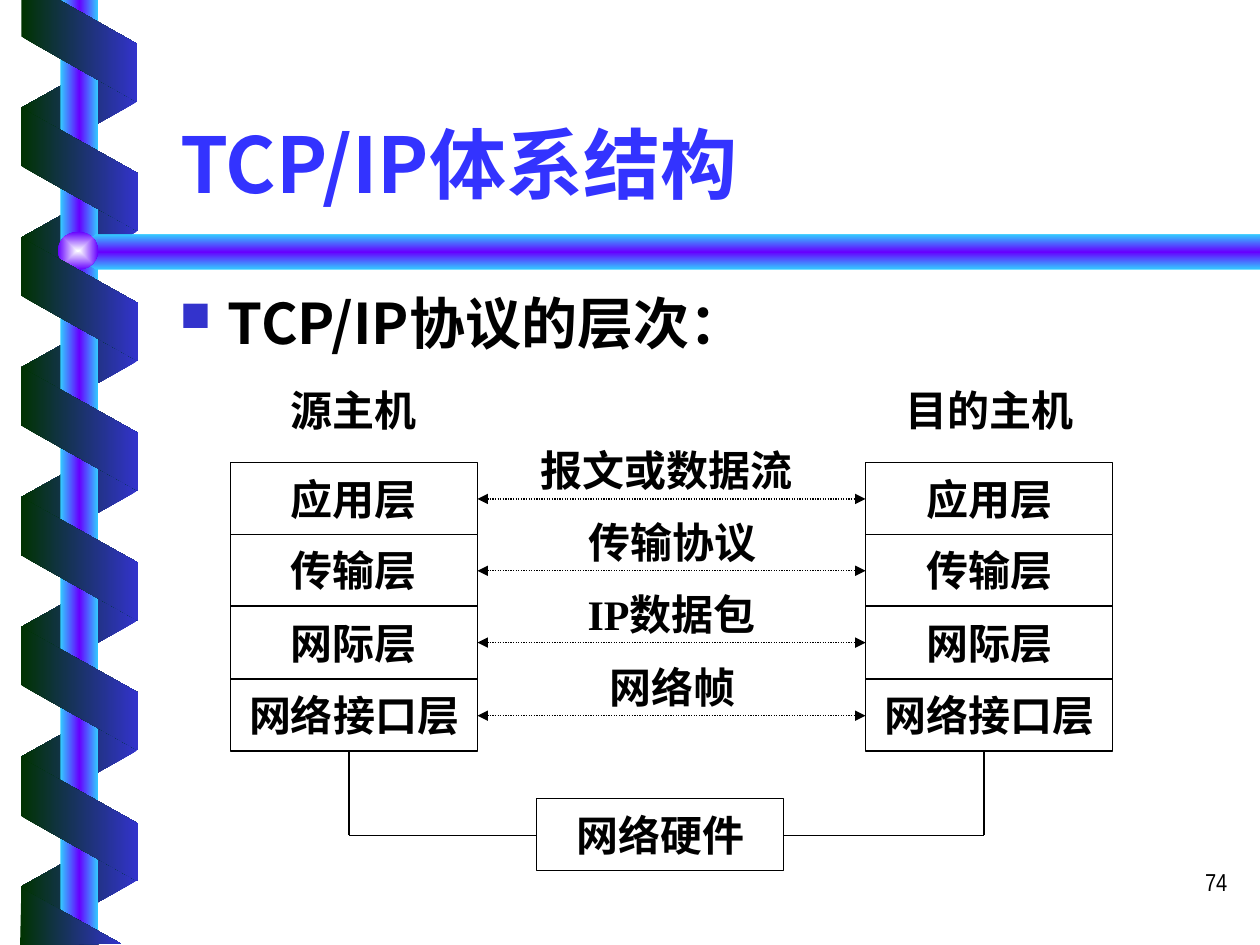
from dataclasses import dataclass

from lxml.etree import SubElement
from pptx import Presentation
from pptx.dml.color import RGBColor
from pptx.enum.dml import MSO_LINE
from pptx.enum.shapes import MSO_CONNECTOR, MSO_SHAPE
from pptx.enum.text import MSO_ANCHOR, PP_ALIGN
from pptx.oxml import parse_xml
from pptx.oxml.ns import nsdecls, qn
from pptx.util import Pt

PX = 9144


@dataclass(frozen=True)
class Theme:
    """Colours, fonts and type sizes of the slide."""
    ink: str = "000000"
    paper: str = "FFFFFF"
    title: str = "3333FF"
    bullet: str = "3333CC"
    ribbon: tuple = ((0, "003300"), (100, "3333CC"))
    ribbon_back: tuple = ((0, "3333CC"), (100, "003300"))
    pole: tuple = ((0, "33CCFF"), (50, "6600FF"), (100, "33CCFF"))
    ball: tuple = ((0, "FEFFFF"), (100, "6600FF"))
    sans: str = "Noto Sans CJK SC"
    serif: str = "Times New Roman"
    narrow: str = "Arial Narrow"
    title_size: int = 44
    body_size: int = 32
    label_size: int = 24
    number_size: int = 14
    line: float = 0.75


THEME = Theme()
LAYERS = ("应用层", "传输层", "网际层", "网络接口层")
MESSAGES = (("报文或数据流", 398, 262), ("传输协议", 426, 215),
            ("IP数据包", 407, 252), ("网络帧", 398, 271))
HOSTS = (("源主机", 183, 211, 140), ("目的主机", 687, 687, 196))
BOX_WIDTH = 196
STACK_TOP = 367


def emu(*lengths):
    """Turn px lengths into EMU."""
    return [length * PX for length in lengths]


def row_offset(row):
    """Give the distance of a layer row from the top of its stack."""
    return row * 172 // 3


def style_text(frame, text, size, font, color=THEME.ink, bold=True, align=PP_ALIGN.LEFT):
    """Write one formatted paragraph into a text frame."""
    paragraph = frame.paragraphs[0]
    paragraph.text = text
    paragraph.alignment = align
    paragraph.font.size = Pt(size)
    paragraph.font.bold = bold
    paragraph.font.color.rgb = RGBColor.from_string(color)
    paragraph.font.name = font
    defaults = paragraph._p.pPr.find(qn("a:defRPr"))
    SubElement(defaults, qn("a:ea")).set("typeface", THEME.sans)


def add_gradient(shape, stops, direction='<a:lin ang="0" scaled="0"/>'):
    """Fill an unlined shape with a gradient that stays upright."""
    shape.shadow.inherit = False
    shape.line.fill.background()
    shape.fill.background()
    marks = "".join(f'<a:gs pos="{place * 1000}"><a:srgbClr val="{color}"/></a:gs>'
                    for place, color in stops)
    gradient = parse_xml(f'<a:gradFill {nsdecls("a")} rotWithShape="0">'
                         f'<a:gsLst>{marks}</a:gsLst>{direction}</a:gradFill>')
    properties = shape._element.spPr
    properties.replace(properties.find(qn("a:noFill")), gradient)


def add_ribbon(slide, top, height, stops, rotation, flipped=False):
    """Add one slanted turn of the spiral ribbon."""
    turn = slide.shapes.add_shape(MSO_SHAPE.PARALLELOGRAM, *emu(14, top, 98, height))
    turn.adjustments[0] = 0.56
    turn.rotation = rotation
    if flipped:
        turn._element.spPr.find(qn("a:xfrm")).set("flipH", "1")
    add_gradient(turn, stops)


def add_outline(slide, points, stops, **direction):
    """Add a closed gradient outline through px points."""
    builder = slide.shapes.build_freeform(*points[0], scale=PX)
    builder.add_line_segments(points[1:], close=True)
    add_gradient(builder.convert_to_shape(), stops, **direction)


def add_decoration(slide):
    """Draw the spiral, its pole and the bar under the title."""
    for turn in range(7):
        add_ribbon(slide, 37 + 103 * turn, 92, THEME.ribbon_back, 90, True)
    pole = slide.shapes.add_shape(MSO_SHAPE.RECTANGLE, *emu(48, 0, 30, 750))
    add_gradient(pole, THEME.pole)
    add_outline(slide, [(1000, 186), (76, 186), (60, 200), (76, 214), (1000, 214)],
                THEME.pole, direction='<a:lin ang="5400000" scaled="0"/>')
    ball = slide.shapes.add_shape(MSO_SHAPE.OVAL, *emu(46, 184, 32, 30))
    add_gradient(ball, THEME.ball, '<a:path path="rect"><a:fillToRect l="50000" '
                 't="50000" r="50000" b="50000"/></a:path>')
    for turn in range(6):
        add_ribbon(slide, 88 + 103.2 * turn // 1, 93, THEME.ribbon, 270)
    add_outline(slide, [(17, 0), (17, 29), (109, 81), (109, 35), (47, 0)], THEME.ribbon)
    add_outline(slide, [(96, 749), (17, 705), (16, 750)], THEME.ribbon)


def add_title(slide, text):
    """Place and format the title placeholder."""
    title = slide.shapes.title
    title.left, title.top, title.width, title.height = emu(133, 46, 850, 125)
    title.text_frame.vertical_anchor = MSO_ANCHOR.BOTTOM
    style_text(title.text_frame, text, THEME.title_size, THEME.sans, THEME.title)


def add_label(slide, text, area, **style):
    """Add a wrapping text box."""
    label = slide.shapes.add_textbox(*emu(*area))
    label.text_frame.word_wrap = True
    style_text(label.text_frame, text, **style)


def add_bullet(slide, text, area):
    """Add a text box with one square-bulleted paragraph."""
    body = slide.shapes.add_textbox(*emu(*area))
    body.text_frame.word_wrap = True
    properties = body.text_frame.paragraphs[0]._p.get_or_add_pPr()
    properties.set("marL", str(38 * PX))
    properties.set("indent", str(-38 * PX))
    color = SubElement(properties, qn("a:buClr"))
    SubElement(color, qn("a:srgbClr")).set("val", THEME.bullet)
    SubElement(properties, qn("a:buSzPct")).set("val", "75000")
    SubElement(properties, qn("a:buChar")).set("char", "■")
    style_text(body.text_frame, text, THEME.body_size, THEME.sans)


def add_box(slide, text, left, top, height=57):
    """Add an outlined box with a centred label."""
    box = slide.shapes.add_shape(MSO_SHAPE.RECTANGLE, *emu(left, top, BOX_WIDTH, height))
    box.shadow.inherit = False
    box.fill.solid()
    box.fill.fore_color.rgb = RGBColor.from_string(THEME.paper)
    box.line.color.rgb = RGBColor.from_string(THEME.ink)
    box.line.width = Pt(THEME.line)
    frame = box.text_frame
    frame.word_wrap = False
    frame.vertical_anchor = MSO_ANCHOR.MIDDLE
    frame.margin_left = frame.margin_right = 2 * PX
    frame.margin_top = frame.margin_bottom = PX
    style_text(frame, text, THEME.label_size, THEME.serif, align=PP_ALIGN.CENTER)


def add_line(slide, start, end, exchange=False):
    """Add a plain link, or a dotted two-way arrow for an exchange."""
    link = slide.shapes.add_connector(MSO_CONNECTOR.STRAIGHT, *emu(*start, *end))
    link.line.color.rgb = RGBColor.from_string(THEME.ink)
    link.line.width = Pt(THEME.line)
    if exchange:
        link.line.dash_style = MSO_LINE.ROUND_DOT
        for tip in ("a:headEnd", "a:tailEnd"):
            SubElement(link.line._get_or_add_ln(), qn(tip)).set("type", "triangle")
    SubElement(link._element.spPr, qn("a:effectLst"))


def add_protocol_stacks(slide):
    """Draw both hosts, their exchanges and the shared hardware."""
    label_style = dict(size=THEME.label_size, font=THEME.serif, align=PP_ALIGN.CENTER)
    for host, left, label_left, label_width in HOSTS:
        add_label(slide, host, (label_left, 300, label_width, 50), **label_style)
        for row, layer in enumerate(LAYERS):
            height = row_offset(row + 1) - row_offset(row)
            add_box(slide, layer, left, STACK_TOP + row_offset(row), height)
        add_line(slide, (left + 94, 596), (left + 94, 663))
    for row, (message, left, width) in enumerate(MESSAGES):
        level = 396 + row_offset(row)
        add_line(slide, (379, level), (687, level), exchange=True)
        add_label(slide, message, (left, level - 48, width, 50), **label_style)
    add_box(slide, "网络硬件", 426, 634)
    add_line(slide, (277, 663), (426, 663))
    add_line(slide, (622, 663), (781, 663))


def main():
    """Build and save the slide."""
    deck = Presentation()
    deck.slide_width, deck.slide_height = emu(1000, 750)
    slide = deck.slides.add_slide(deck.slide_layouts[5])
    add_decoration(slide)
    add_title(slide, "TCP/IP体系结构")
    add_bullet(slide, "TCP/IP协议的层次：", (133, 224, 850, 76))
    add_protocol_stacks(slide)
    add_label(slide, "74", (776, 683, 208, 50), size=THEME.number_size,
              font=THEME.narrow, bold=False, align=PP_ALIGN.RIGHT)
    deck.save("out.pptx")


if __name__ == "__main__":
    main()
